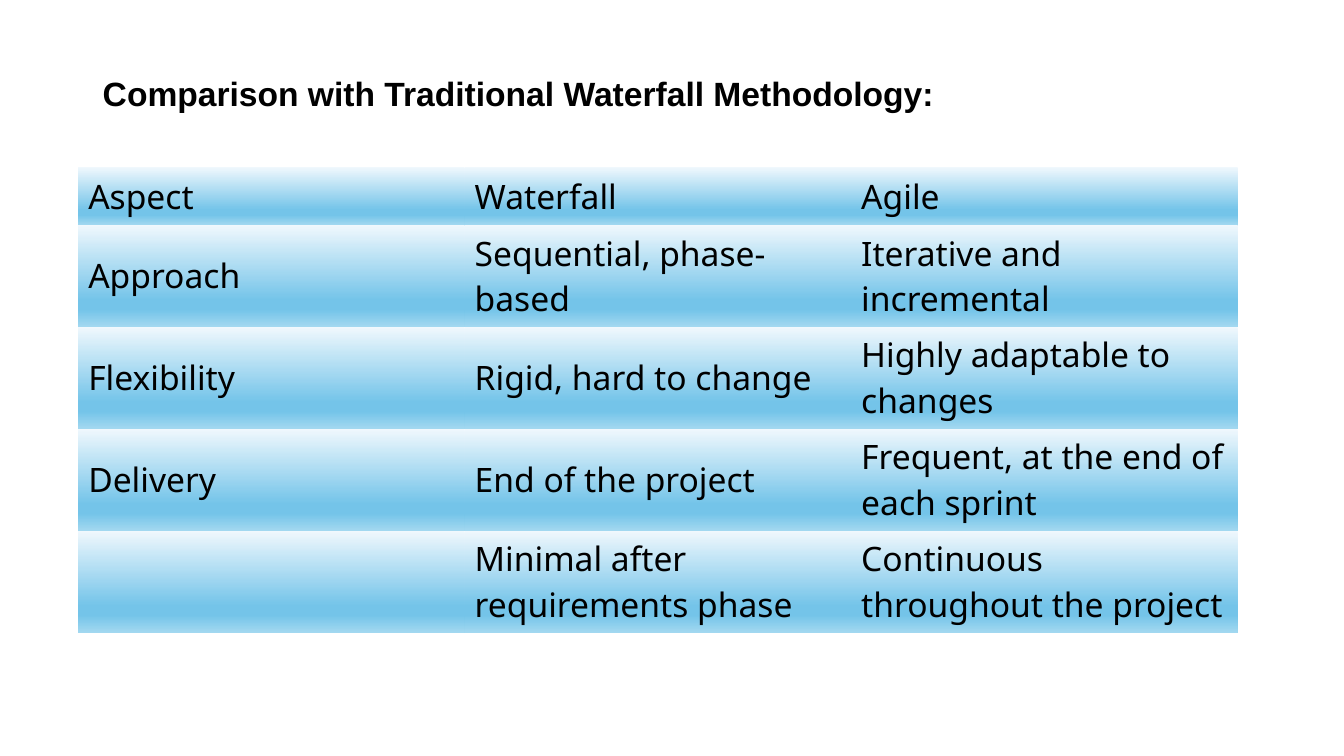
import dataclasses

import lxml.etree
import pptx
import pptx.dml.color
import pptx.enum.text
import pptx.oxml.ns
import pptx.table
import pptx.text.text
import pptx.util

Cm = pptx.util.Cm


@dataclasses.dataclass(frozen=True)
class Theme:
    ink: str = "000000"
    gradient: tuple[tuple[int, str], ...] = (
        (0, "F0F8FD"),
        (74, "74C4E9"),
        (83, "74C4E9"),
        (100, "A2D8F0"),
    )
    size: float = 24
    heading_font: str = "Arial"
    body_font: str = "Noto Sans"
    plain_table_style: str = "{2D5ABB26-0587-4C30-8999-92F81FD0307C}"


@dataclasses.dataclass(frozen=True)
class Comparison:
    aspect: str
    waterfall: str
    agile: str
    height: float = 2.56


THEME = Theme()
COLUMN_WIDTH = 9.74
COMPARISONS = [
    Comparison("Aspect", "Waterfall", "Agile", height=1.46),
    Comparison("Approach", "Sequential, phase-based", "Iterative and incremental"),
    Comparison("Flexibility", "Rigid, hard to change", "Highly adaptable to changes"),
    Comparison("Delivery", "End of the project", "Frequent, at the end of each sprint"),
    Comparison("", "Minimal after requirements phase", "Continuous throughout the project"),
]


def write_text(
    frame: pptx.text.text.TextFrame, text: str, *, font: str, bold: bool = False
) -> None:
    frame.word_wrap = True
    run = frame.paragraphs[0].add_run()
    run.text = text
    run.font.name = font
    run.font.size = pptx.util.Pt(THEME.size)
    run.font.bold = bold
    run.font.color.rgb = pptx.dml.color.RGBColor.from_string(THEME.ink)


def fill_gradient(cell: pptx.table._Cell) -> None:
    qn = pptx.oxml.ns.qn
    cell.fill.gradient()
    cell.fill.gradient_angle = 270
    stops = cell._tc.tcPr.find(qn("a:gradFill")).find(qn("a:gsLst"))
    for stop in list(stops):
        stops.remove(stop)
    for percent, color in THEME.gradient:
        stop = lxml.etree.SubElement(stops, qn("a:gs"), pos=str(percent * 1000))
        lxml.etree.SubElement(stop, qn("a:srgbClr"), val=color)


def draw_heading(slide: pptx.slide.Slide) -> None:
    heading = slide.shapes.add_textbox(Cm(2.34), Cm(1.7), Cm(24.1), Cm(1.27))
    heading.text_frame.vertical_anchor = pptx.enum.text.MSO_ANCHOR.MIDDLE
    write_text(
        heading.text_frame,
        "Comparison with Traditional Waterfall Methodology:",
        font=THEME.heading_font,
        bold=True,
    )


def draw_comparisons(slide: pptx.slide.Slide, comparisons: list[Comparison]) -> None:
    frame = slide.shapes.add_table(
        len(comparisons), 3, Cm(1.97), Cm(4.21), Cm(3 * COLUMN_WIDTH),
        Cm(sum(comparison.height for comparison in comparisons)),
    )
    grid = frame.table
    grid.horz_banding = False
    style = grid._tbl.tblPr.find(pptx.oxml.ns.qn("a:tableStyleId"))
    style.text = THEME.plain_table_style
    for column in grid.columns:
        column.width = Cm(COLUMN_WIDTH)
    for row, comparison in zip(grid.rows, comparisons):
        row.height = Cm(comparison.height)
        texts = (comparison.aspect, comparison.waterfall, comparison.agile)
        for cell, text in zip(row.cells, texts):
            cell.vertical_anchor = pptx.enum.text.MSO_ANCHOR.MIDDLE
            fill_gradient(cell)
            if text:
                write_text(cell.text_frame, text, font=THEME.body_font)


def main() -> None:
    deck = pptx.Presentation()
    deck.slide_width, deck.slide_height = Cm(33.87), Cm(19.05)
    slide = deck.slides.add_slide(deck.slide_layouts[6])
    draw_comparisons(slide, COMPARISONS)
    draw_heading(slide)
    deck.save("out.pptx")


if __name__ == "__main__":
    main()
